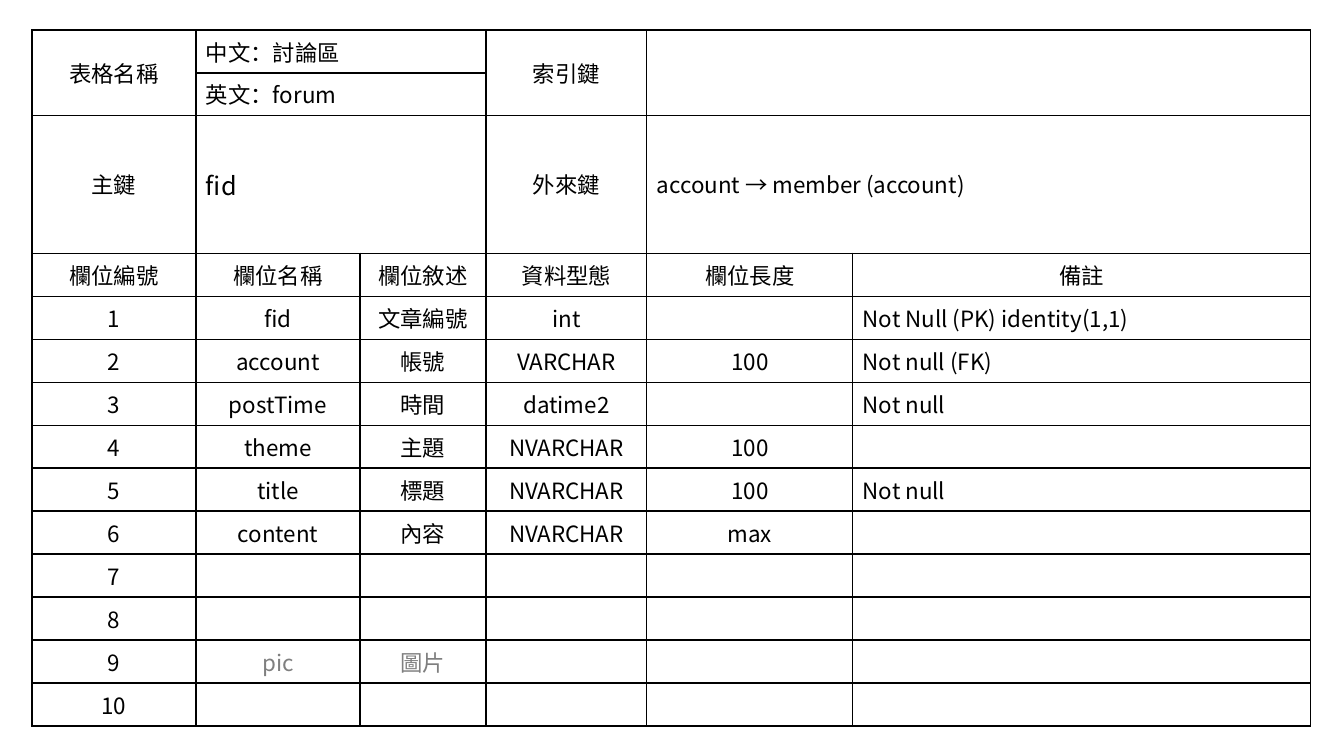
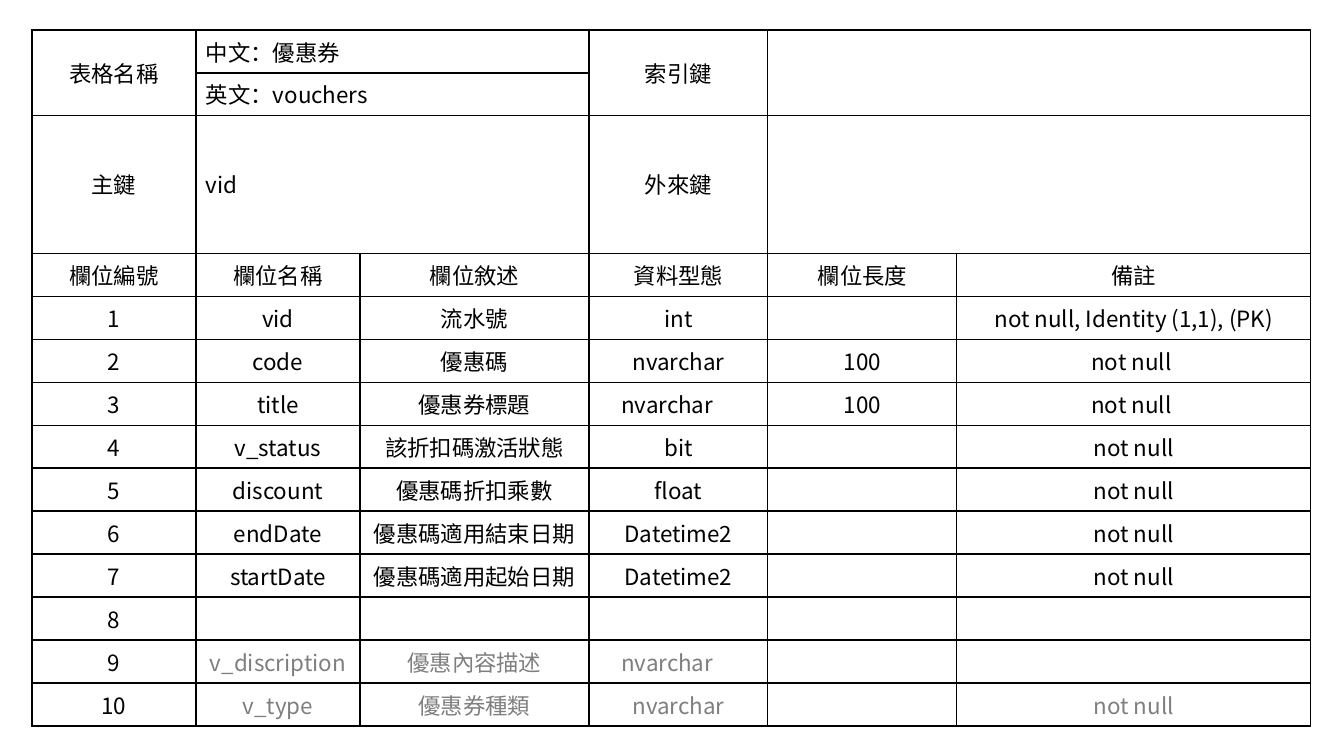
from dataclasses import dataclass

from lxml import etree
from pptx import Presentation
from pptx.dml.color import RGBColor
from pptx.enum.text import MSO_ANCHOR, PP_ALIGN
from pptx.oxml.ns import qn
from pptx.util import Pt

LEFT, CENTER = PP_ALIGN.LEFT, PP_ALIGN.CENTER
MIDDLE = MSO_ANCHOR.MIDDLE
SCALE = 914400 / 100.8


@dataclass(frozen=True)
class Theme:
    font: str = "Noto Sans CJK TC"
    ink: str = "000000"
    muted: str = "7F7F7F"
    paper: str = "FFFFFF"
    size: int = 16
    line: int = 1


THEME = Theme()

SLIDE = (1344, 756)
ORIGIN = (32, 30)
HEIGHTS = [43, 42, 138] + [43] * 11
PAD = (10, 5)  # side, top and bottom
TIGHT = (1, 1)
HEADS = ["欄位編號", "欄位名稱", "欄位敘述", "資料型態", "欄位長度", "備註"]
FIRST = 4  # row of field number 1
COUNT = 10
MUTED_FROM = 9  # fields from this number on are greyed

# first row, first column, last row, last column
MERGES = [
    (0, 0, 1, 0), (0, 1, 0, 2), (1, 1, 1, 2), (0, 3, 1, 3),
    (0, 4, 1, 5), (2, 1, 2, 2), (2, 4, 2, 5),
]

TABLES = [
    {
        "title": "討論區", "name": "forum",
        "key": "fid", "key_size": 18,
        "foreign": "account → member (account)",
        "widths": [164, 164, 126, 161, 206, 458],
        "pad": PAD, "note_align": LEFT,
        "fields": {
            1: ("fid", "文章編號", "int", "", "Not Null (PK) identity(1,1)"),
            2: ("account", "帳號", "VARCHAR", "100", "Not null (FK)"),
            3: ("postTime", "時間", "datime2", "", "Not null"),
            4: ("theme", "主題", "NVARCHAR", "100", ""),
            5: ("title", "標題", "NVARCHAR", "100", "Not null"),
            6: ("content", "內容", "NVARCHAR", "max", ""),
            9: ("pic", "圖片", "", "", ""),
        },
    },
    {
        "title": "優惠券", "name": "vouchers",
        "key": "vid", "key_size": THEME.size,
        "foreign": "",
        "widths": [164, 164, 229, 179, 189, 354],
        "pad": TIGHT, "note_align": CENTER,
        "fields": {
            1: ("vid", "流水號", "int", "", "not null, Identity (1,1), (PK)"),
            2: ("code", "優惠碼", "nvarchar", "100", "not null "),
            3: ("title", "優惠券標題", "nvarchar　", "100", "not null "),
            4: ("v_status", "該折扣碼激活狀態", "bit", "", "not null"),
            5: ("discount", "優惠碼折扣乘數", "float", "", "not null"),
            6: ("endDate", "優惠碼適用結束日期", "Datetime2", "", "not null"),
            7: ("startDate", "優惠碼適用起始日期", "Datetime2", "", "not null"),
            9: ("v_discription", "優惠內容描述", "nvarchar　", "", ""),
            10: ("v_type", "優惠券種類", "nvarchar", "", "not null"),
        },
    },
]


def px(n):
    return round(n * SCALE)


def frame(cell):
    """Give a cell its four borders and its fill."""
    props = cell._tc.get_or_add_tcPr()
    for side in ("a:lnL", "a:lnR", "a:lnT", "a:lnB"):
        line = etree.SubElement(props, qn(side), w=str(Pt(THEME.line)))
        fill = etree.SubElement(line, qn("a:solidFill"))
        etree.SubElement(fill, qn("a:srgbClr"), val=THEME.ink)
    cell.fill.solid()
    cell.fill.fore_color.rgb = RGBColor.from_string(THEME.paper)


def write(cell, text, align, size, color):
    cell.text = text
    para = cell.text_frame.paragraphs[0]
    para.alignment = align
    font = para.font
    font.size, font.name = Pt(size), THEME.font
    font.color.rgb = RGBColor.from_string(color)
    props = para._p.pPr.find(qn("a:defRPr"))
    etree.SubElement(props, qn("a:ea"), typeface=THEME.font)


def layout(data):
    """List the text of every row, top to bottom."""
    rows = [
        ["表格名稱", "中文：" + data["title"], "", "索引鍵", "", ""],
        ["", "英文：" + data["name"], "", "", "", ""],
        ["主鍵", data["key"], "", "外來鍵", data["foreign"], ""],
        HEADS,
    ]
    blank = ("",) * 5
    for num in range(1, COUNT + 1):
        rows.append([str(num), *data["fields"].get(num, blank)])
    return rows


def style(data, row, col):
    """Return alignment, type size, colour and padding of a cell."""
    align, size, color, pad = CENTER, THEME.size, THEME.ink, PAD
    if row < FIRST - 1 and col in (1, 4):
        align = LEFT
    if (row, col) == (2, 1):
        size = data["key_size"]
    if row >= FIRST and col > 0:
        pad = data["pad"]
        if col == 5:
            align = data["note_align"]
        if row - FIRST + 1 >= MUTED_FROM:
            color = THEME.muted
    return align, size, color, pad


def build(deck, data):
    slide = deck.slides.add_slide(deck.slide_layouts[6])
    rows, widths = layout(data), data["widths"]
    table = slide.shapes.add_table(
        len(rows), len(widths), px(ORIGIN[0]), px(ORIGIN[1]),
        px(sum(widths)), px(sum(HEIGHTS))).table
    table.first_row = table.horz_banding = False
    for col, width in zip(table.columns, widths):
        col.width = px(width)
    for row, height in zip(table.rows, HEIGHTS):
        row.height = px(height)
    for r, texts in enumerate(rows):
        for c, text in enumerate(texts):
            cell = table.cell(r, c)
            align, size, color, pad = style(data, r, c)
            side, edge = pad if text else (0, 0)
            cell.margin_left = cell.margin_right = px(side)
            cell.margin_top = cell.margin_bottom = px(edge)
            cell.vertical_anchor = MIDDLE
            frame(cell)
            if text:
                write(cell, text, align, size, color)
    for top, left, bottom, right in MERGES:
        table.cell(top, left).merge(table.cell(bottom, right))


def main():
    deck = Presentation()
    deck.slide_width, deck.slide_height = map(px, SLIDE)
    for data in TABLES:
        build(deck, data)
    deck.save("out.pptx")


if __name__ == "__main__":
    main()
